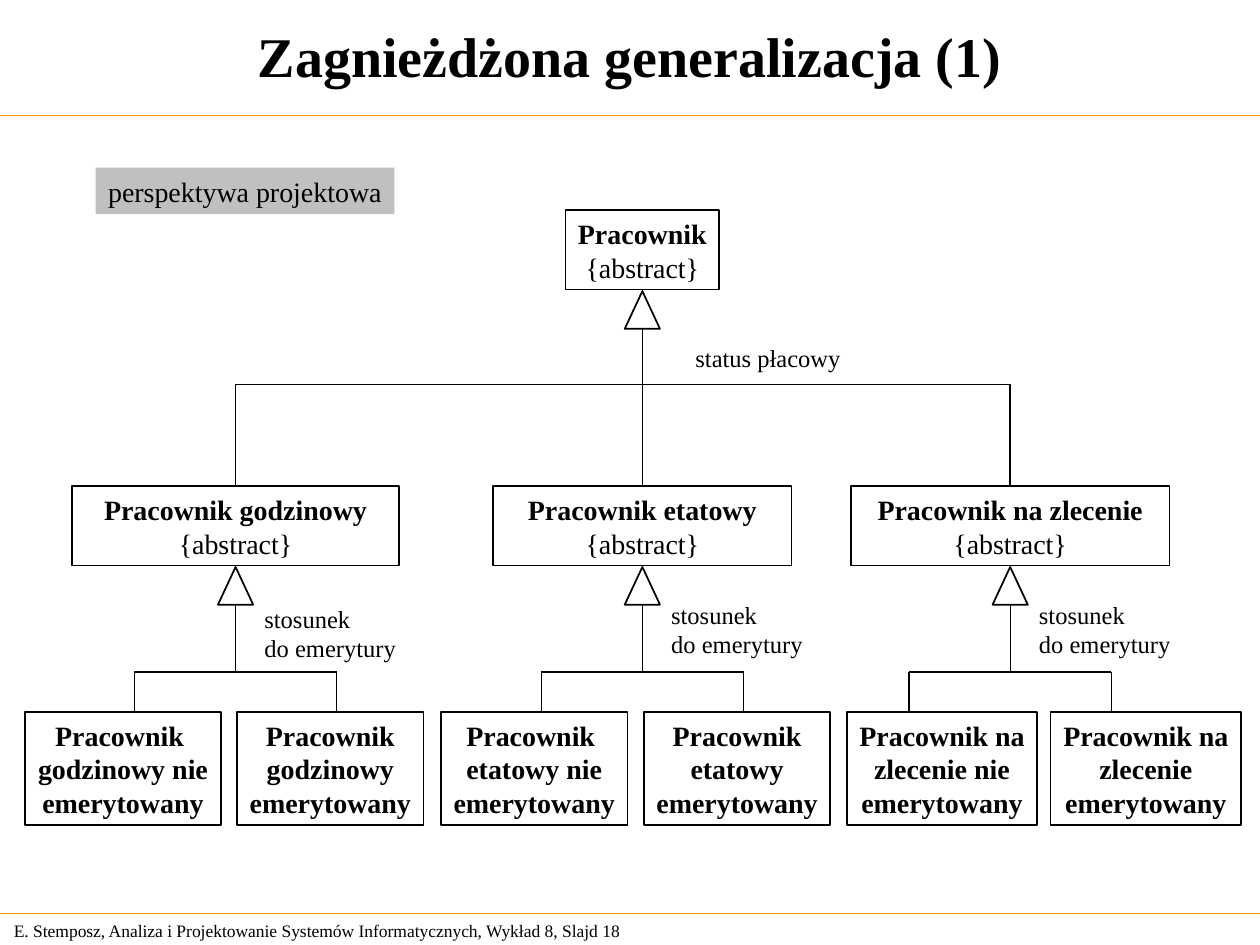
from lxml.etree import SubElement
from pptx import Presentation
from pptx.dml.color import RGBColor
from pptx.enum.shapes import MSO_CONNECTOR, MSO_SHAPE
from pptx.enum.text import MSO_ANCHOR, PP_ALIGN
from pptx.oxml.ns import qn
from pptx.util import Cm, Pt

TITLE = "Zagnieżdżona generalizacja (1)"
FOOTER = "E. Stemposz, Analiza i Projektowanie Systemów Informatycznych, Wykład 8, Slajd 18"
PERSPECTIVE = "perspektywa projektowa"
ROOT = ("Pracownik", 11.4, 3.1)
STATUS = "status płacowy"
PENSION = ["stosunek", "do emerytury"]
ABSTRACT = "{abstract}"

# name, left, width, label top, leaves as (lines, left, width)
SUBCLASSES = [
    ("Pracownik godzinowy", 1.45, 6.6, 12.04, [
        (["Pracownik ", "godzinowy nie", "emerytowany"], 0.51, 3.94),
        (["Pracownik", "godzinowy", "emerytowany"], 4.78, 3.76)]),
    ("Pracownik etatowy", 9.94, 6.02, 11.96, [
        (["Pracownik ", "etatowy nie", "emerytowany"], 8.89, 3.76),
        (["Pracownik", "etatowy", "emerytowany"], 12.98, 3.76)]),
    ("Pracownik na zlecenie", 17.15, 6.43, 11.96, [
        (["Pracownik na", "zlecenie nie", "emerytowany"], 17.07, 3.84),
        (["Pracownik na", "zlecenie", "emerytowany"], 21.18, 3.84)]),
]

THEME = {
    "font": "Times New Roman",
    "ink": RGBColor(0, 0, 0),
    "paper": RGBColor(255, 255, 255),
    "rule": RGBColor(0xFF, 0x99, 0x00),
    "tag": RGBColor(0xC0, 0xC0, 0xC0),
    "thin": Pt(0.75),
    "normal": Pt(1),
    "title": Pt(32),
    "class": Pt(16),
    "label": Pt(14),
    "footer": Pt(10),
}

SLIDE_W, SLIDE_H = 25.4, 19.05
ROOT_Y, SUB_Y, LEAF_Y = 4.24, 9.8, 14.35
CLASS_H, LEAF_H = 1.6, 2.29
ARROW_W, ARROW_H = 0.71, 0.76
SUB_BAR_Y, LEAF_BAR_Y = 7.75, 13.54
LEAF_REACH = 2.04  # from the centre of a subclass to its outer leaf lines
TOP, BOTTOM = 0, 2


def write(sp, lines, size, align=PP_ALIGN.LEFT, bold=0, wrap=True, anchor=MSO_ANCHOR.TOP):
    """Fill a shape with paragraphs; the first `bold` of them are bold."""
    tf = sp.text_frame
    frame = {"word_wrap": wrap, "vertical_anchor": anchor,
             "margin_left": Cm(0.25), "margin_right": Cm(0.25),
             "margin_top": Cm(0.13), "margin_bottom": Cm(0.13)}
    for name, value in frame.items():
        setattr(tf, name, value)
    for i, line in enumerate(lines):
        p = tf.paragraphs[0] if i == 0 else tf.add_paragraph()
        p.alignment = align
        r = p.add_run()
        r.text = line
        font = {"name": THEME["font"], "size": THEME[size], "bold": i < bold}
        for name, value in font.items():
            setattr(r.font, name, value)
        r.font.color.rgb = THEME["ink"]


def add_text(slide, box, lines, size, **fmt):
    sp = slide.shapes.add_textbox(*map(Cm, box))
    write(sp, lines, size, **fmt)


def add_shape(slide, kind, box, fill=None, outlined=True):
    sp = slide.shapes.add_shape(kind, *map(Cm, box))
    sp.shadow.inherit = False
    if fill is None:
        sp.fill.background()
    else:
        sp.fill.solid()
        sp.fill.fore_color.rgb = fill
    if outlined:
        sp.line.color.rgb = THEME["ink"]
        sp.line.width = THEME["normal"]
    else:
        sp.line.fill.background()
    return sp


def add_class(slide, box, lines, bold):
    sp = add_shape(slide, MSO_SHAPE.RECTANGLE, box)
    write(sp, lines, "class", align=PP_ALIGN.CENTER, bold=bold, wrap=False)
    return sp


def add_line(slide, x1, y1, x2, y2, width="thin", color="ink"):
    line = slide.shapes.add_connector(MSO_CONNECTOR.STRAIGHT, *map(Cm, (x1, y1, x2, y2)))
    line.line.color.rgb = THEME[color]
    line.line.width = THEME[width]
    SubElement(line._element.spPr, qn("a:effectLst"))
    return line


def add_arrowhead(slide, center, top):
    box = (center - ARROW_W / 2, top, ARROW_W, ARROW_H)
    add_shape(slide, MSO_SHAPE.ISOSCELES_TRIANGLE, box, THEME["paper"])


def add_frame(slide):
    add_text(slide, (0.03, 18.42, 13.3, 0.68), [FOOTER], "footer", anchor=MSO_ANCHOR.MIDDLE)
    for y in (2.33, 18.42):
        add_line(slide, 0, y, SLIDE_W, y, color="rule")
    add_text(slide, (0, -0.05, SLIDE_W, 2.33), [TITLE], "title", align=PP_ALIGN.CENTER,
             bold=1, anchor=MSO_ANCHOR.MIDDLE)
    tag = add_shape(slide, MSO_SHAPE.RECTANGLE, (1.93, 3.38, 6.02, 0.94), THEME["tag"], False)
    write(tag, [PERSPECTIVE], "class", wrap=False)


def add_leaves(slide, center, label_y, leaves):
    """Draw the lower generalization below a subclass."""
    left, right = center - LEAF_REACH, center + LEAF_REACH
    add_line(slide, center, SUB_Y + CLASS_H + ARROW_H, center, LEAF_BAR_Y)
    add_arrowhead(slide, center, SUB_Y + CLASS_H + 0.03)
    add_line(slide, left, LEAF_BAR_Y, right, LEAF_BAR_Y, "normal")
    add_text(slide, (center + 0.33, label_y, 3.5, 1.42), PENSION, "label")
    for drop, (lines, x, w) in zip((left, right), leaves):
        add_line(slide, drop, LEAF_BAR_Y, drop, LEAF_Y)
        add_class(slide, (x, LEAF_Y, w, LEAF_H), lines, bold=len(lines))


def add_hierarchy(slide):
    name, x, w = ROOT
    root_center, root_bottom = x + w / 2, ROOT_Y + CLASS_H
    root = add_class(slide, (x, ROOT_Y, w, CLASS_H), [name, ABSTRACT], bold=1)
    centers = [x + w / 2 for _, x, w, _, _ in SUBCLASSES]
    add_line(slide, centers[0], SUB_BAR_Y, centers[-1], SUB_BAR_Y, "normal")
    for center, (name, x, w, label_y, leaves) in zip(centers, SUBCLASSES):
        sub = add_class(slide, (x, SUB_Y, w, CLASS_H), [name, ABSTRACT], bold=1)
        is_trunk = abs(center - root_center) < 0.01
        start = root_bottom if is_trunk else SUB_BAR_Y
        drop = add_line(slide, center, start, center, SUB_Y, "normal")
        if is_trunk:
            drop.begin_connect(root, BOTTOM)
        drop.end_connect(sub, TOP)
        add_leaves(slide, center, label_y, leaves)
    add_arrowhead(slide, root_center, root_bottom + 0.03)
    add_text(slide, (13.77, 6.78, 4.39, 0.84), [STATUS], "label")


def main():
    prs = Presentation()
    prs.slide_width, prs.slide_height = Cm(SLIDE_W), Cm(SLIDE_H)
    slide = prs.slides.add_slide(prs.slide_layouts[6])
    add_frame(slide)
    add_hierarchy(slide)
    prs.save("out.pptx")


if __name__ == "__main__":
    main()
